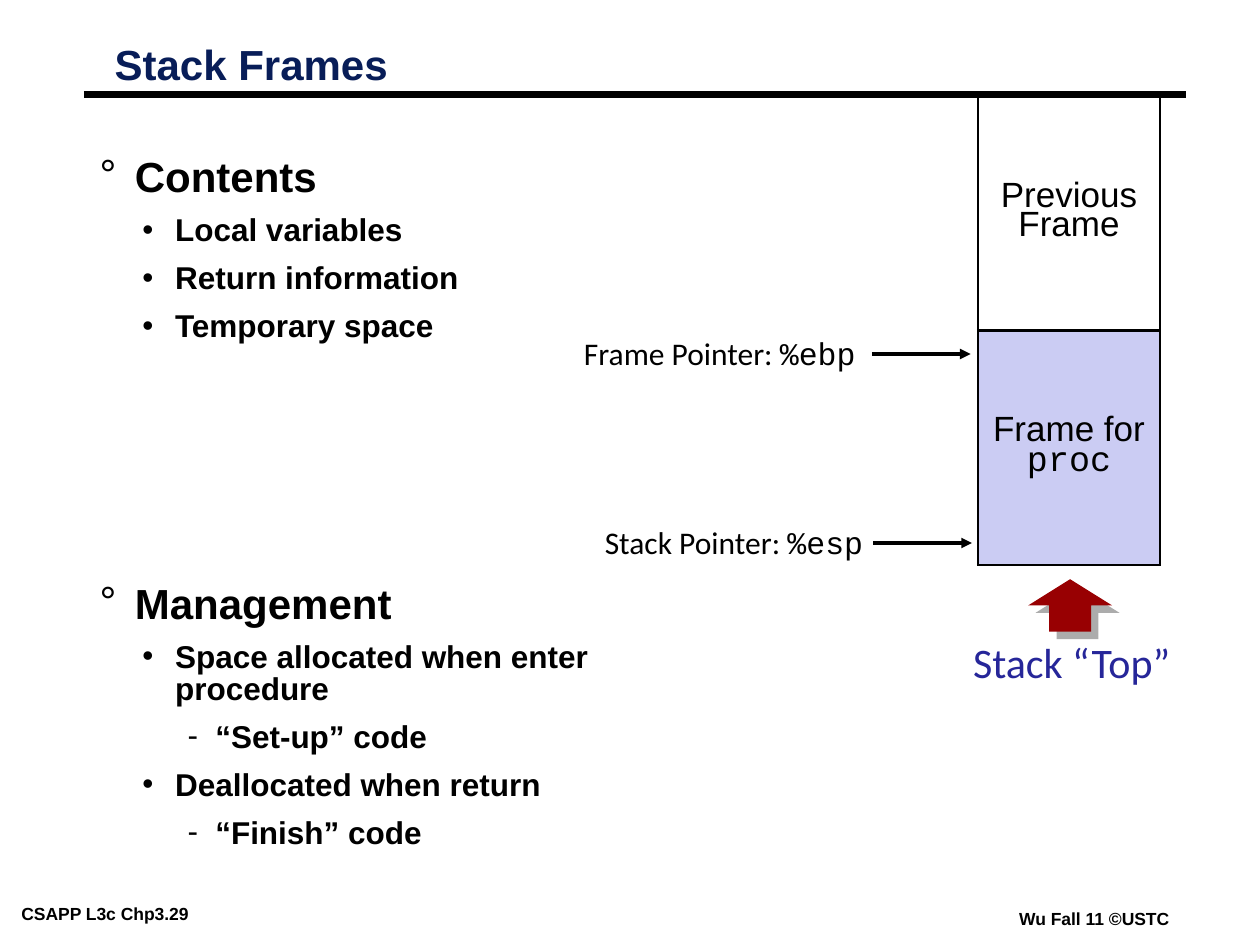
from dataclasses import dataclass
from typing import Any

from lxml.etree import SubElement
from pptx import Presentation
from pptx.dml.color import RGBColor
from pptx.enum.shapes import MSO_CONNECTOR, MSO_SHAPE
from pptx.enum.text import MSO_ANCHOR, MSO_AUTO_SIZE, PP_ALIGN
from pptx.oxml.ns import qn
from pptx.util import Pt


@dataclass(frozen=True)
class Theme:
    ink: str = "000000"
    title: str = "081D58"
    accent: str = "262699"
    arrow: str = "980002"
    shadow: str = "919191"
    frame: str = "CBCCF3"
    sans: str = "Arial"
    label: str = "Calibri"
    code: str = "Courier New"
    large: float = 24
    cell: float = 20
    medium: float = 18
    small: float = 10


@dataclass(frozen=True)
class Span:
    text: str
    size: float
    font: str
    color: str
    bold: bool = False


@dataclass(frozen=True)
class Level:
    bullet: str
    size: float
    margin: float
    hanging: float
    spacing: float
    before: float


@dataclass(frozen=True)
class Item:
    level: int
    text: str
    before: float | None = None


@dataclass(frozen=True)
class Label:
    spans: tuple[Span, ...]
    left: float
    top: float
    width: float
    height: float
    align: PP_ALIGN = PP_ALIGN.LEFT
    wrap: bool = False
    inset: float = 2.88


@dataclass(frozen=True)
class Pointer:
    name: str
    register: str
    text_right: float
    arrow_left: float
    y: float


THEME = Theme()
LEVELS = (
    Level("°", THEME.large, 20.2, 20.2, 0.75, 19.5),
    Level("•", THEME.medium, 43.2, 18.7, 0.85, 9),
    Level("-", THEME.medium, 66.2, 15.8, 0.85, 9),
)
ITEMS = (
    Item(0, "Contents", before=0),
    Item(1, "Local variables"),
    Item(1, "Return information"),
    Item(1, "Temporary space"),
    Item(0, "Management", before=140),
    Item(1, "Space allocated when enter procedure"),
    Item(2, "“Set-up” code"),
    Item(1, "Deallocated when return"),
    Item(2, "“Finish” code"),
)
POINTERS = (
    Pointer("Frame Pointer: ", "%ebp", 491.8, 498.2, 202.3),
    Pointer("Stack Pointer: ", "%esp", 496.1, 499, 310.3),
)


def apply(target: Any, values: dict[str, Any]) -> None:
    for name, value in values.items():
        setattr(target, name, value)


def add_span(para, span: Span) -> None:
    run = para.add_run()
    run.text = span.text
    apply(run.font, {"size": Pt(span.size), "name": span.font, "bold": span.bold})
    run.font.color.rgb = RGBColor.from_string(span.color)


def format_frame(frame, inset: float, wrap: bool, anchor=MSO_ANCHOR.TOP) -> None:
    apply(frame, {
        "margin_left": Pt(inset), "margin_right": Pt(inset),
        "margin_top": Pt(min(inset, 2.88)), "margin_bottom": Pt(min(inset, 2.88)),
        "word_wrap": wrap, "auto_size": MSO_AUTO_SIZE.NONE, "vertical_anchor": anchor,
    })


def add_label(page, label: Label) -> None:
    box = page.shapes.add_textbox(
        Pt(label.left), Pt(label.top), Pt(label.width), Pt(label.height))
    format_frame(box.text_frame, label.inset, label.wrap)
    para = box.text_frame.paragraphs[0]
    para.alignment = label.align
    for span in label.spans:
        add_span(para, span)


def add_line(page, left: float, right: float, y: float, weight: float, arrow=False) -> None:
    line = page.shapes.add_connector(MSO_CONNECTOR.STRAIGHT, Pt(left), Pt(y), Pt(right), Pt(y))
    line.line.color.rgb = RGBColor.from_string(THEME.ink)
    line.line.width = Pt(weight)
    if arrow:
        SubElement(line.line._get_or_add_ln(), qn("a:tailEnd"), type="triangle")
    SubElement(line._element.spPr, qn("a:effectLst"))


def add_title(page, text: str) -> None:
    title = page.shapes.title
    apply(title, {"left": Pt(62.6), "top": Pt(23), "width": Pt(359.3), "height": Pt(31)})
    format_frame(title.text_frame, 2.88, True, MSO_ANCHOR.MIDDLE)
    para = title.text_frame.paragraphs[0]
    apply(para, {"alignment": PP_ALIGN.LEFT, "line_spacing": 0.87, "space_before": Pt(0)})
    add_span(para, Span(text, THEME.large, THEME.sans, THEME.title, True))


def add_outline(page) -> None:
    box = page.shapes.add_textbox(Pt(54), Pt(90), Pt(342.7), Pt(417.6))
    frame = box.text_frame
    format_frame(frame, 2.88, True)
    for index, item in enumerate(ITEMS):
        para = frame.add_paragraph() if index else frame.paragraphs[0]
        level = LEVELS[item.level]
        properties = para._p.get_or_add_pPr()
        properties.set("marL", str(Pt(level.margin)))
        properties.set("indent", str(-Pt(level.hanging)))
        color = SubElement(properties, qn("a:buClr"))
        SubElement(color, qn("a:srgbClr"), val=THEME.ink)
        SubElement(properties, qn("a:buFont"), typeface=THEME.sans)
        SubElement(properties, qn("a:buChar"), char=level.bullet)
        before = level.before if item.before is None else item.before
        apply(para, {"level": item.level, "line_spacing": level.spacing,
                     "space_before": Pt(before)})
        add_span(para, Span(item.text, level.size, THEME.sans, THEME.ink, True))


def add_borders(cell) -> None:
    properties = cell._tc.get_or_add_tcPr()
    for index, side in enumerate(("a:lnL", "a:lnR", "a:lnT", "a:lnB")):
        border = properties.makeelement(qn(side), {"w": str(Pt(1.47))})
        properties.insert(index, border)
        fill = SubElement(border, qn("a:solidFill"))
        SubElement(fill, qn("a:srgbClr"), val=THEME.ink)


def add_stack(page) -> None:
    rows = (
        ((Span("Previous Frame", THEME.cell, THEME.sans, THEME.ink),), None),
        ((Span("Frame for", THEME.cell, THEME.sans, THEME.ink),
          Span("proc", THEME.cell, THEME.code, THEME.ink)), THEME.frame),
    )
    table = page.shapes.add_table(
        len(rows), 1, Pt(558.9), Pt(54.9), Pt(104), Pt(267.8)).table
    apply(table, {"first_row": False, "horz_banding": False})
    for index, (spans, color) in enumerate(rows):
        cell = table.cell(index, 0)
        apply(cell, {"margin_left": Pt(4.3), "margin_right": Pt(4.3),
                     "vertical_anchor": MSO_ANCHOR.MIDDLE})
        if color:
            cell.fill.solid()
            cell.fill.fore_color.rgb = RGBColor.from_string(color)
        else:
            cell.fill.background()
        add_borders(cell)
        para = cell.text_frame.paragraphs[0]
        apply(para, {"alignment": PP_ALIGN.CENTER, "line_spacing": 0.75})
        for position, span in enumerate(spans):
            if position:
                para.add_line_break()
            add_span(para, span)


def add_top_arrow(page) -> None:
    arrow = page.shapes.add_shape(MSO_SHAPE.UP_ARROW, Pt(587.5), Pt(331), Pt(48), Pt(30))
    arrow.fill.solid()
    arrow.fill.fore_color.rgb = RGBColor.from_string(THEME.arrow)
    arrow.line.fill.background()
    arrow.shadow.inherit = False
    effects = arrow._element.spPr.find(qn("a:effectLst"))
    shadow = SubElement(effects, qn("a:outerShdw"), dist=str(Pt(6)), dir="2700000",
                        algn="ctr", rotWithShape="0")
    color = SubElement(shadow, qn("a:srgbClr"), val=THEME.shadow)
    SubElement(color, qn("a:alpha"), val="75000")


def main() -> None:
    deck = Presentation()
    apply(deck, {"slide_width": Pt(720), "slide_height": Pt(540)})
    page = deck.slides.add_slide(deck.slide_layouts[5])
    for text, left, top, width in (("CSAPP L3c Chp3.29", 7.2, 513.4, 145.4),
                                   ("Wu Fall 11 ©USTC", 577.4, 516.2, 99.4)):
        span = Span(text, THEME.small, THEME.sans, THEME.ink, True)
        add_label(page, Label((span,), left, top, width, 16, inset=5))
    add_line(page, 48, 678, 54, 4.5)
    add_title(page, "Stack Frames")
    add_outline(page)
    for pointer in POINTERS:
        add_line(page, pointer.arrow_left, pointer.arrow_left + 56.4, pointer.y, 2, arrow=True)
        spans = (Span(pointer.name, THEME.medium, THEME.label, THEME.ink),
                 Span(pointer.register, THEME.medium, THEME.code, THEME.ink))
        add_label(page, Label(spans, pointer.text_right - 192.2, pointer.y - 14.4,
                              192.2, 28.8, PP_ALIGN.RIGHT, True))
    top_text = Span("Stack “Top”", THEME.large, THEME.label, THEME.accent)
    add_label(page, Label((top_text,), 546.5, 360.7, 131.8, 34.6, PP_ALIGN.CENTER))
    add_top_arrow(page)
    add_stack(page)
    deck.save("out.pptx")


if __name__ == "__main__":
    main()
